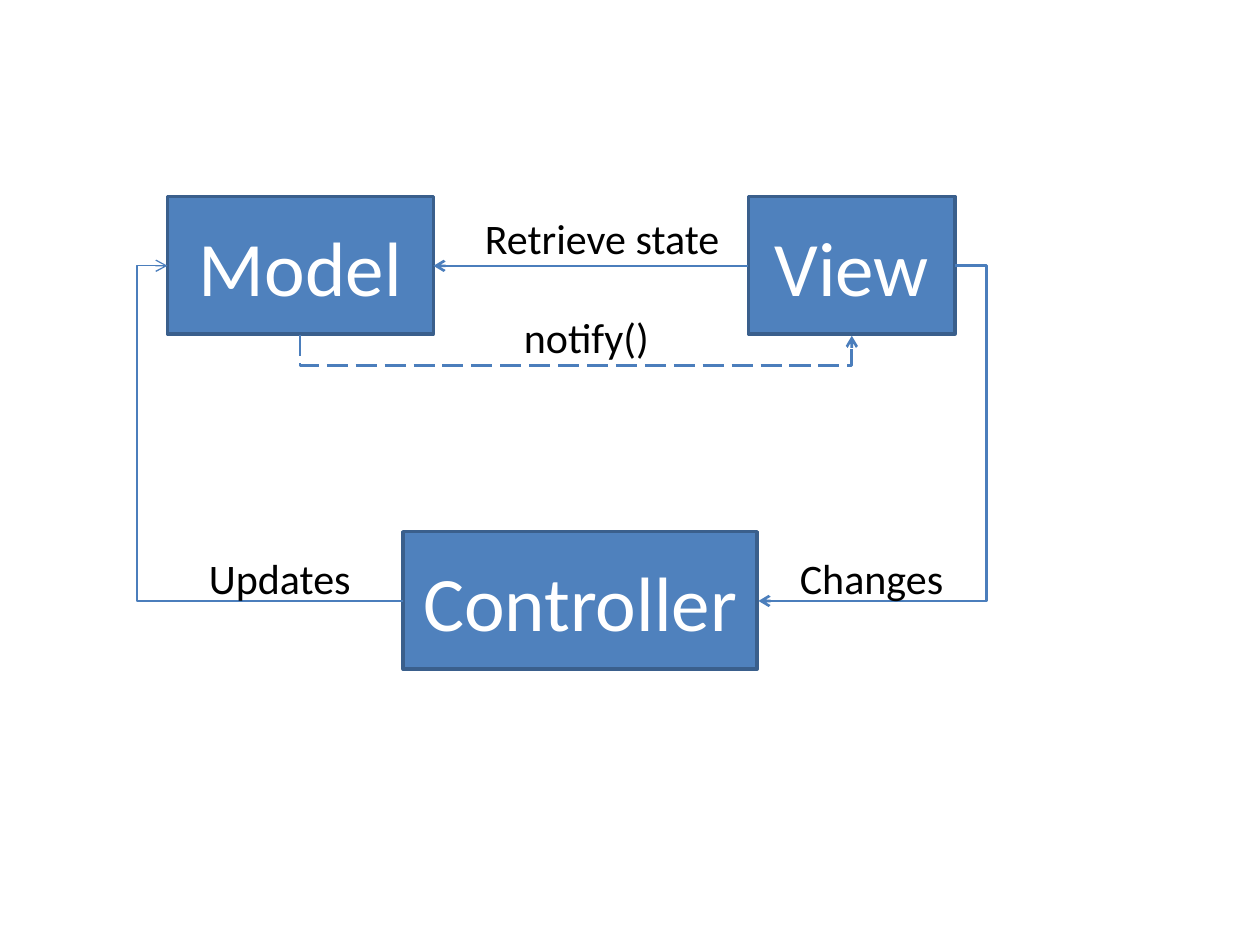
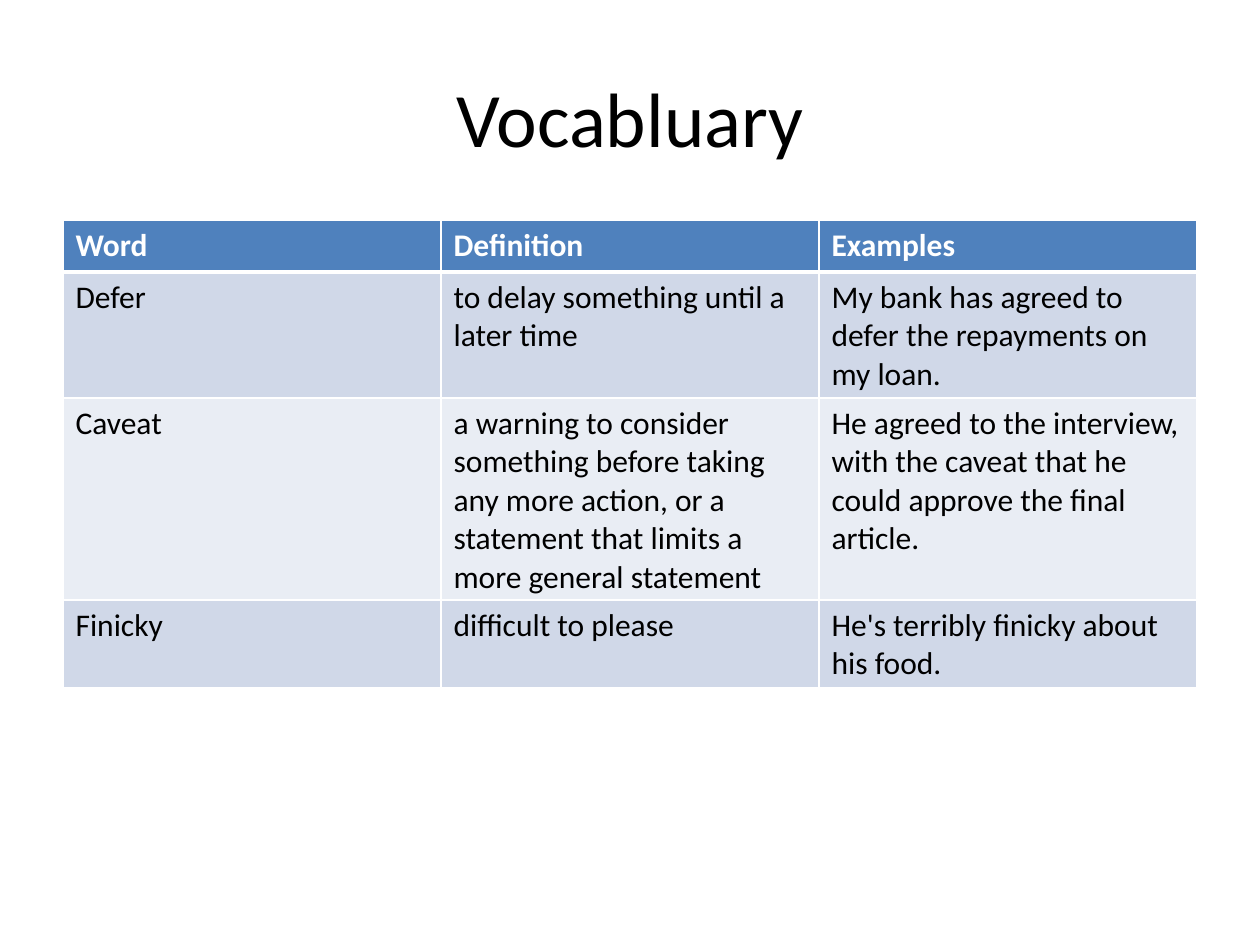
from lxml import etree
from pptx import Presentation, util as u
from pptx.dml.color import RGBColor
from pptx.enum import dml, shapes, text
from pptx.oxml import ns

FONT = "Calibri"
BLUE, EDGE, ARROW = "4F81BD", "3A5F8C", "4B7EBC"
BLACK, WHITE = "000000", "FFFFFF"
BANDS = ("D0D8E8", "E9EDF4")

VOCABULARY = [
    ("Word", "Definition", "Examples"),
    ("Defer", "to delay something until a later time",
     "My bank has agreed to defer the repayments on my loan."),
    ("Caveat", "a warning to consider something before taking any more action, "
     "or a statement that limits a more general statement",
     "He agreed to the interview, with the caveat that he could approve the final article."),
    ("Finicky", "difficult to please", "He's terribly finicky about his food."),
]


def colour(code):
    return RGBColor.from_string(code)


def add_child(parent, tag, **attributes):
    return etree.SubElement(parent, ns.qn(tag), attributes)


class Builder:
    """Holds the shared style and the slide being drawn."""

    def __init__(self):
        self.deck = Presentation()
        self.deck.slide_width, self.deck.slide_height = u.Inches(10), u.Inches(7.5)
        self.page = None

    def new_page(self):
        self.page = self.deck.slides.add_slide(self.deck.slide_layouts[6])

    def style(self, para, size, code, bold=False, align=text.PP_ALIGN.LEFT):
        para.alignment = align
        para.font.name, para.font.size, para.font.bold = FONT, u.Pt(size), bold
        para.font.color.rgb = colour(code)

    def text(self, words, left, top, width, height, size=24, centred=False, spacing=None):
        box = self.page.shapes.add_textbox(*map(u.Inches, (left, top, width, height)))
        frame = box.text_frame
        frame.word_wrap = True
        frame.text = words
        para = frame.paragraphs[0]
        para.line_spacing = spacing
        if centred:
            frame.vertical_anchor = text.MSO_ANCHOR.MIDDLE
        self.style(para, size, BLACK,
                   align=text.PP_ALIGN.CENTER if centred else text.PP_ALIGN.LEFT)

    def component(self, name, left, top, width, height=1.09):
        box = self.page.shapes.add_shape(
            shapes.MSO_SHAPE.RECTANGLE, *map(u.Inches, (left, top, width, height)))
        box.shadow.inherit = False
        box.fill.solid()
        box.fill.fore_color.rgb = colour(BLUE)
        box.line.color.rgb = colour(EDGE)
        box.line.width = u.Pt(2)
        frame = box.text_frame
        frame.word_wrap = False
        frame.vertical_anchor = text.MSO_ANCHOR.MIDDLE
        frame.text = name
        self.style(frame.paragraphs[0], 44, WHITE, align=text.PP_ALIGN.CENTER)

    def arrow(self, start, end, bend=None, weight=1.5):
        """Draw an arrow; bend places the elbow as a share of the width."""
        kind = shapes.MSO_CONNECTOR.STRAIGHT if bend is None else shapes.MSO_CONNECTOR.ELBOW
        link = self.page.shapes.add_connector(kind, *map(u.Inches, (*start, *end)))
        link.line.color.rgb = colour(ARROW)
        link.line.width = u.Pt(weight)
        properties = link._element.spPr
        add_child(properties.find(ns.qn("a:ln")), "a:tailEnd", type="arrow")
        add_child(properties, "a:effectLst")
        if bend is not None:
            guides = properties.find(ns.qn("a:prstGeom")).get_or_add_avLst()
            add_child(guides, "a:gd", name="adj1", fmla=f"val {round(bend * 100000)}")
        return link

    def arrow_below(self, left, right, y, drop):
        """Dashed arrow that dips under two points: an upright elbow turned by 270 degrees."""
        middle, half, sliver = (left + right) / 2, (right - left) / 2, 0.01
        link = self.arrow((middle + sliver / 2, y - half), (middle - sliver / 2, y + half),
                          bend=drop / sliver)
        link._element.spPr.find(ns.qn("a:xfrm")).set("rot", str(270 * 60000))
        link.line.dash_style = dml.MSO_LINE.LONG_DASH

    def cell_borders(self, cell, bottom):
        properties = cell._tc.get_or_add_tcPr()
        weights = {"a:lnL": 1, "a:lnR": 1, "a:lnT": 1, "a:lnB": bottom}
        for place, (tag, weight) in enumerate(weights.items()):
            line = etree.Element(ns.qn(tag), w=str(u.Pt(weight)))
            add_child(add_child(line, "a:solidFill"), "a:srgbClr", val=WHITE)
            properties.insert(place, line)

    def table(self, rows, left, top, width, row_height):
        frame = self.page.shapes.add_table(
            len(rows), len(rows[0]),
            *map(u.Inches, (left, top, width, row_height * len(rows))))
        for r, row in enumerate(rows):
            header = r == 0
            for c, words in enumerate(row):
                cell = frame.table.cell(r, c)
                cell.text = words
                cell.fill.solid()
                cell.fill.fore_color.rgb = colour(BLUE if header else BANDS[(r - 1) % 2])
                self.style(cell.text_frame.paragraphs[0], 18,
                           WHITE if header else BLACK, bold=header)
                self.cell_borders(cell, bottom=3 if header else 1)


def draw_pattern(builder):
    builder.new_page()
    upper, lower = 2.11, 4.77
    builder.component("Model", 1.33, 1.56, 2.11)
    builder.component("View", 5.94, 1.56, 1.64)
    builder.component("Controller", 3.2, 4.22, 2.81)

    builder.arrow_below(2.38, 6.76, 2.66, drop=0.25)
    builder.arrow((5.94, upper), (3.44, upper))
    builder.arrow((7.58, upper), (6.02, lower), bend=-0.16)
    builder.arrow((3.2, lower), (1.33, upper), bend=1.13, weight=0.75)

    builder.text("notify()", 4.06, 2.42, 1.33, 0.55)
    builder.text("Retrieve state", 3.75, 1.64, 2.11, 0.78)
    for words, left in (("Changes", 6.25), ("Updates", 1.56)):
        builder.text(words, left, 4.38, 1.56, 0.47, spacing=0.9)


def draw_vocabulary(builder):
    builder.new_page()
    builder.text("Vocabluary", 0.5, 0.3, 9, 1.25, size=44, centred=True)
    builder.table(VOCABULARY, 0.5, 1.75, 9, 0.41)


def main():
    builder = Builder()
    draw_pattern(builder)
    draw_vocabulary(builder)
    builder.deck.save("out.pptx")


if __name__ == "__main__":
    main()
